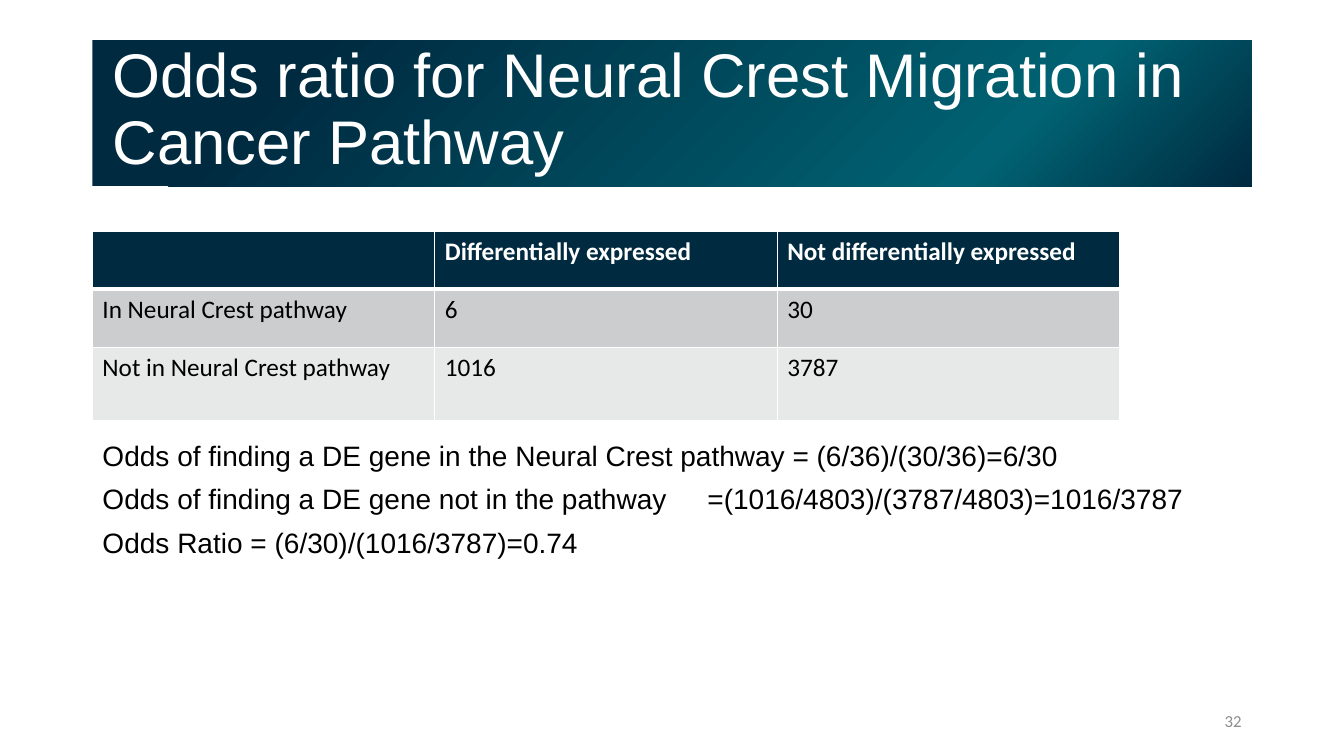
import pptx
import pptx.util
import pptx.oxml
import pptx.oxml.ns
import pptx.dml.color
import pptx.enum.text

Color = pptx.dml.color.RGBColor
Anchor = pptx.enum.text.MSO_ANCHOR
Align = pptx.enum.text.PP_ALIGN

NAVY = Color(0x00, 0x2A, 0x40)
TEAL = Color(0x00, 0x62, 0x72)
WHITE = Color(0xFF, 0xFF, 0xFF)
BLACK = Color(0x00, 0x00, 0x00)
GRAY = Color(0x8C, 0x8C, 0x8C)
DARK = Color(0xCC, 0xCD, 0xCF)
LIGHT = Color(0xE7, 0xE8, 0xE8)

COLS, ROWS = 160, 150
LEFT, SPAN = 11, 138
STOPS = [(0, NAVY), (22, TEAL), (83, NAVY), (100, NAVY)]
TABLE = [
    ["", "Differentially expressed", "Not differentially expressed"],
    ["In Neural Crest pathway", "6", "30"],
    ["Not in Neural Crest pathway", "1016", "3787"],
]
ODDS = [
    "Odds of finding a DE gene in the Neural Crest pathway = (6/36)/(30/36)=6/30",
    "Odds of finding a DE gene not in the pathway\t=(1016/4803)/(3787/4803)=1016/3787",
    "Odds Ratio = (6/30)/(1016/3787)=0.74",
]


def node(tag, body="", **attrs):
    pairs = "".join(f' {key}="{val}"' for key, val in attrs.items())
    space = pptx.oxml.ns.nsdecls("a")
    return pptx.oxml.parse_xml(f"<a:{tag} {space}{pairs}>{body}</a:{tag}>")


def write(para, text, size=18, face="Calibri", color=BLACK, bold=False,
          align=Align.LEFT, line=None, after=None):
    para.alignment = align
    para.space_before = pptx.util.Pt(0)
    if line:
        para.line_spacing = line
    if after is not None:
        para.space_after = pptx.util.Pt(after)
    run = para.add_run()
    run.text = text
    font = run.font
    font.size = pptx.util.Pt(size)
    font.name = face
    font.bold = bold
    font.color.rgb = color


class Deck:
    face = "Arial"

    def __init__(self):
        self.show = pptx.Presentation()
        self.show.slide_width = pptx.util.Inches(13.33)
        self.show.slide_height = pptx.util.Inches(7.5)
        self.slide = self.show.slides.add_slide(self.show.slide_layouts[1])

    def wide(self, cols):
        return round(self.show.slide_width * cols / COLS)

    def high(self, rows):
        return round(self.show.slide_height * rows / ROWS)

    def place(self, shape, left, top, width, height, anchor):
        shape.left, shape.top = self.wide(left), self.high(top)
        shape.width, shape.height = self.wide(width), self.high(height)
        frame = shape.text_frame
        frame.word_wrap = True
        frame.auto_size = pptx.enum.text.MSO_AUTO_SIZE.NONE
        frame.vertical_anchor = anchor
        return frame

    def title(self, text, *area):
        shape = self.slide.shapes.title
        frame = self.place(shape, *area, Anchor.MIDDLE)
        frame.margin_left = pptx.util.Inches(0.2)
        frame.margin_top = 0
        shape.fill.gradient()
        old = shape.fill._xPr.find(pptx.oxml.ns.qn("a:gradFill"))
        stops = "".join(
            f'<a:gs pos="{pos * 1000}"><a:srgbClr val="{color}"/></a:gs>'
            for pos, color in STOPS)
        focus = ('<a:path path="circle"><a:fillToRect l="100000" t="100000"/></a:path>'
                 '<a:tileRect r="-100000" b="-100000"/>')
        old.getparent().replace(
            old, node("gradFill", f"<a:gsLst>{stops}</a:gsLst>{focus}", rotWithShape=1))
        write(frame.paragraphs[0], text, size=44, face=self.face, color=WHITE, line=0.9)

    def body(self, lines, stop, *area):
        frame = self.place(self.slide.placeholders[1], *area, Anchor.TOP)
        for i, text in enumerate(lines):
            para = frame.add_paragraph() if i else frame.paragraphs[0]
            props = para._p.get_or_add_pPr()
            props.set("marL", "0")
            props.set("indent", "0")
            props.append(node("buNone"))
            if "\t" in text:
                tab = f'<a:tab pos="{self.wide(stop)}" algn="l"/>'
                props.append(node("tabLst", tab))
            write(para, text, size=20, face=self.face, after=7)

    def label(self, text, *area):
        shape = self.slide.shapes.add_textbox(0, 0, 0, 0)
        frame = self.place(shape, *area, Anchor.MIDDLE)
        write(frame.paragraphs[0], text, size=12, color=GRAY, align=Align.RIGHT)

    def table(self, data, left, top, width, rows):
        grid = self.slide.shapes.add_table(
            len(data), len(data[0]), self.wide(left), self.high(top),
            self.wide(width), self.high(sum(rows))).table
        for row, height in zip(grid.rows, rows):
            row.height = self.high(height)
        for i, line in enumerate(data):
            for j, text in enumerate(line):
                self.cell(grid.cell(i, j), text, i)

    def cell(self, cell, text, row):
        thick = {"L": 1, "R": 1, "T": 3 if row == 1 else 1, "B": 1 if row else 3}
        props = cell._tc.get_or_add_tcPr()
        paint = f'<a:solidFill><a:srgbClr val="{WHITE}"/></a:solidFill>'
        for side, size in thick.items():
            props.append(node("ln" + side, paint, w=pptx.util.Pt(size)))
        cell.fill.solid()
        cell.fill.fore_color.rgb = (NAVY, DARK, LIGHT)[row]
        if text:
            write(cell.text_frame.paragraphs[0], text,
                  color=BLACK if row else WHITE, bold=row == 0)


def main():
    deck = Deck()
    deck.title("Odds ratio for Neural Crest Migration in Cancer Pathway",
               LEFT, 8, SPAN, 29)
    deck.table(TABLE, LEFT, 46, 122.3, [11.4, 11.6, 14.4])
    deck.body(ODDS, 70, LEFT, 86, SPAN, 28)
    deck.label("32", 113, 139, 36, 8)
    deck.show.save("out.pptx")


if __name__ == "__main__":
    main()
